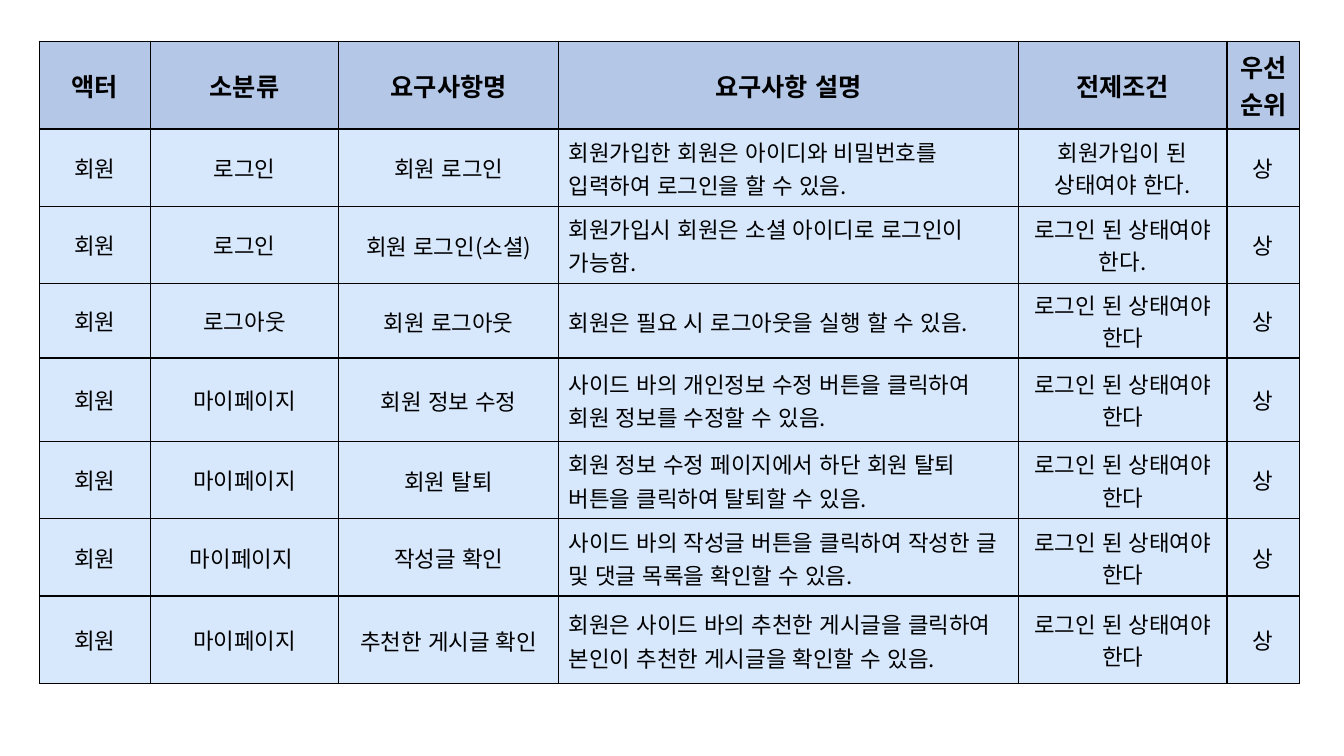
from dataclasses import dataclass

from lxml import etree
from pptx import Presentation
from pptx.dml.color import RGBColor
from pptx.enum.lang import MSO_LANGUAGE_ID
from pptx.enum.text import MSO_ANCHOR, PP_ALIGN
from pptx.oxml.ns import qn
from pptx.util import Inches, Pt

LEFT, CENTER = PP_ALIGN.LEFT, PP_ALIGN.CENTER
MIDDLE = MSO_ANCHOR.MIDDLE
KOREAN = MSO_LANGUAGE_ID.KOREAN


@dataclass(frozen=True)
class Theme:
    font: str = "Noto Sans CJK KR"
    text: str = "000000"
    border: str = "000000"
    header_fill: str = "B4C7E7"
    body_fill: str = "D8E8FC"
    header_size: int = 18
    body_size: int = 16
    border_width: int = 1


THEME = Theme()

COLUMN_WIDTHS = [1.1, 1.87, 2.18, 4.56, 2.07, 0.72]
ROW_HEIGHTS = [0.87, 0.75, 0.72, 0.67, 0.83, 0.71, 0.76, 0.87]
NAME_COLUMN, DESCRIPTION_COLUMN = 2, 3

ACTOR, PRIORITY = "회원", "상"
LOGGED_IN = "로그인 된 상태여야 한다"
HEADERS = ["액터", "소분류", "요구사항명", "요구사항 설명", "전제조건", "우선순위"]
REQUIREMENTS = [
    ("로그인", "회원 로그인",
     "회원가입한 회원은 아이디와 비밀번호를 입력하여 로그인을 할 수 있음.",
     "회원가입이 된 상태여야 한다."),
    ("로그인", "회원 로그인(소셜)",
     "회원가입시 회원은 소셜 아이디로 로그인이 가능함.", LOGGED_IN + "."),
    ("로그아웃", "회원 로그아웃",
     "회원은 필요 시 로그아웃을 실행 할 수 있음.", LOGGED_IN),
    ("마이페이지", "회원 정보 수정",
     "사이드 바의 개인정보 수정 버튼을 클릭하여 회원 정보를 수정할 수 있음.", LOGGED_IN),
    ("마이페이지", "회원 탈퇴",
     "회원 정보 수정 페이지에서 하단 회원 탈퇴 버튼을 클릭하여 탈퇴할 수 있음.", LOGGED_IN),
    ("마이페이지 ", "작성글 확인",
     "사이드 바의 작성글 버튼을 클릭하여 작성한 글 및 댓글 목록을 확인할 수 있음.", LOGGED_IN),
    ("마이페이지", "추천한 게시글 확인",
     "회원은 사이드 바의 추천한 게시글을 클릭하여 본인이 추천한 게시글을 확인할 수 있음.",
     LOGGED_IN),
]


def add_borders(cell):
    """Draw all four edges; the line elements must precede the cell fill."""
    properties = cell._tc.get_or_add_tcPr()
    for position, edge in enumerate(("a:lnL", "a:lnR", "a:lnT", "a:lnB")):
        line = etree.Element(qn(edge), w=str(Pt(THEME.border_width)))
        fill = etree.SubElement(line, qn("a:solidFill"))
        etree.SubElement(fill, qn("a:srgbClr"), val=THEME.border)
        properties.insert(position, line)


def write_run(paragraph, text, size, bold):
    run = paragraph.add_run()
    run.text = text
    font = run.font
    font.size = Pt(size)
    font.bold = bold
    font.color.rgb = RGBColor.from_string(THEME.text)
    font.name = THEME.font
    font.language_id = KOREAN
    latin = run._r.get_or_add_rPr().find(qn("a:latin"))
    latin.addnext(etree.Element(qn("a:ea"), typeface=THEME.font))


prs = Presentation()
prs.slide_width, prs.slide_height = Inches(13.33), Inches(7.5)
slide = prs.slides.add_slide(prs.slide_layouts[6])

rows = [HEADERS] + [(ACTOR, *requirement, PRIORITY) for requirement in REQUIREMENTS]
requirements_table = slide.shapes.add_table(
    len(rows), len(HEADERS), Inches(0.39), Inches(0.41),
    Inches(sum(COLUMN_WIDTHS)), Inches(sum(ROW_HEIGHTS))).table

for column, width in zip(requirements_table.columns, COLUMN_WIDTHS):
    column.width = Inches(width)
for row, height in zip(requirements_table.rows, ROW_HEIGHTS):
    row.height = Inches(height)

for row_index, texts in enumerate(rows):
    is_header = row_index == 0
    fill_color = THEME.header_fill if is_header else THEME.body_fill
    size = THEME.header_size if is_header else THEME.body_size
    for column_index, text in enumerate(texts):
        cell = requirements_table.cell(row_index, column_index)
        cell.vertical_anchor = MIDDLE
        cell.fill.solid()
        cell.fill.fore_color.rgb = RGBColor.from_string(fill_color)
        add_borders(cell)

        paragraph = cell.text_frame.paragraphs[0]
        is_description = not is_header and column_index == DESCRIPTION_COLUMN
        paragraph.alignment = LEFT if is_description else CENTER
        if not is_header and column_index in (NAME_COLUMN, DESCRIPTION_COLUMN):
            paragraph.line_spacing = 1.04
        write_run(paragraph, text, size, is_header)

prs.save("out.pptx")
